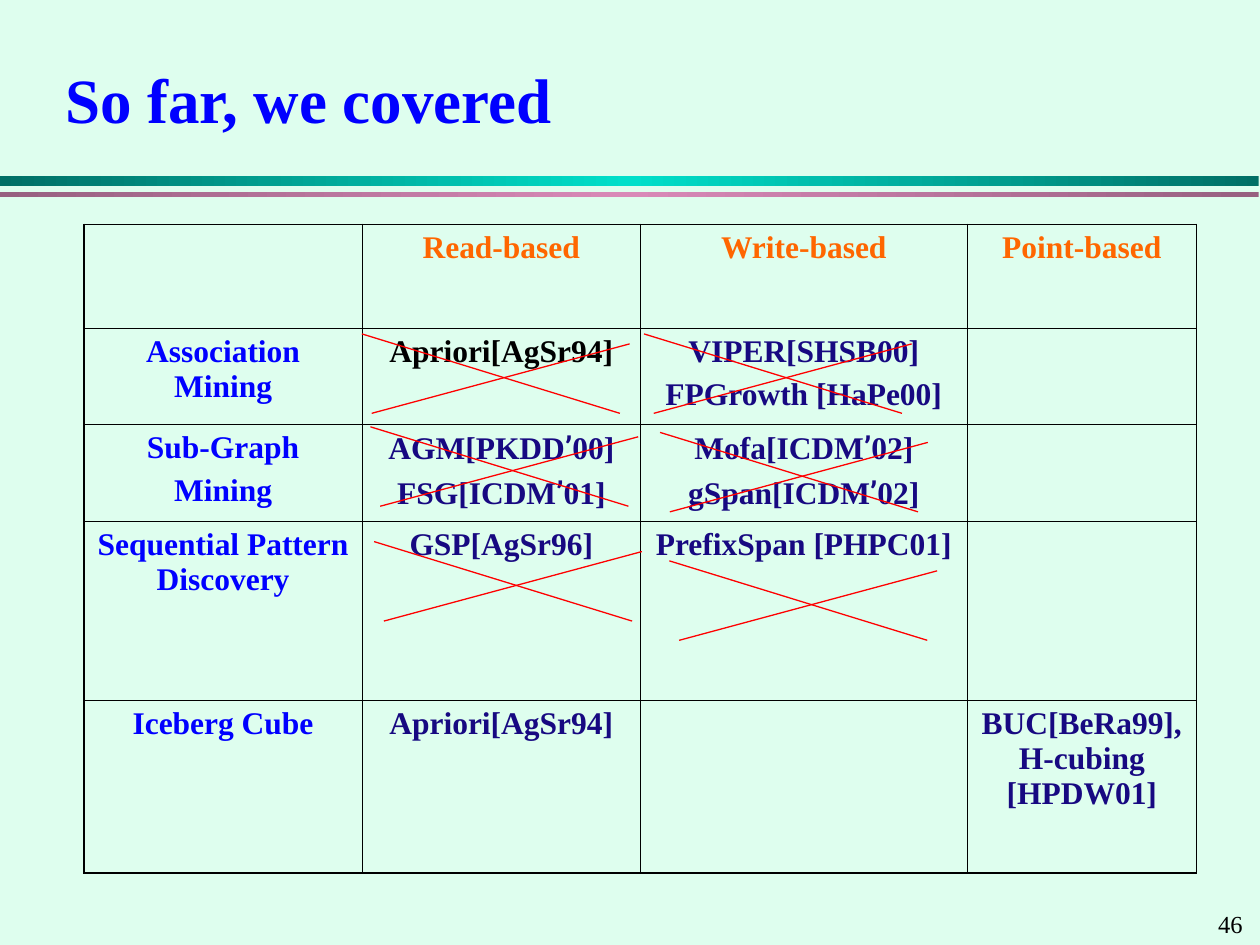
import copy
from dataclasses import dataclass

import lxml.etree
import pptx
import pptx.dml.color
import pptx.enum.shapes
import pptx.enum.text
import pptx.oxml.ns
import pptx.util

Pt = pptx.util.Pt
RGBColor = pptx.dml.color.RGBColor
Align = pptx.enum.text.PP_ALIGN
Anchor = pptx.enum.text.MSO_ANCHOR
qn = pptx.oxml.ns.qn

MINT = RGBColor(0xDE, 0xFE, 0xEE)
DARK_TEAL = RGBColor(0x00, 0x6F, 0x65)
TEAL = RGBColor(0x00, 0xDF, 0xCA)
DARK_PINK = RGBColor(0x97, 0x60, 0x80)
PINK = RGBColor(0xD9, 0x89, 0xB8)
BLACK = RGBColor(0, 0, 0)
BLUE = RGBColor(0, 0, 0xFF)
NAVY = RGBColor(0x17, 0x09, 0x81)
ORANGE = RGBColor(0xFF, 0x66, 0x00)
RED = RGBColor(0xFF, 0, 0)

FONT = "Times New Roman"
APOSTROPHE_FONT = "Roboto"
APOSTROPHE = "’"

COLUMN_WIDTHS = [159, 159, 186.7, 131.1]
ROW_HEIGHTS = [59.2, 55.2, 55.2, 102.5, 98.5]
CELL_TEXTS = [
    ["", "Read-based", "Write-based", "Point-based"],
    ["Association Mining", "Apriori[AgSr94]", "VIPER[SHSB00]\nFPGrowth [HaPe00]", ""],
    ["Sub-Graph\nMining", "AGM[PKDD’00]\nFSG[ICDM’01]", "Mofa[ICDM’02]\ngSpan[ICDM’02]", ""],
    ["Sequential Pattern Discovery", "GSP[AgSr96]", "PrefixSpan [PHPC01]", ""],
    ["Iceberg Cube", "Apriori[AgSr94]", "", "BUC[BeRa99], H-cubing [HPDW01]"],
]
THIN, THICK = 0.45, 1.08


@dataclass
class Band:
    top: float
    height: float
    edge: RGBColor
    middle: RGBColor


@dataclass
class Cross:
    left: float
    top: float


BANDS = [Band(100.8, 5.6, DARK_TEAL, TEAL), Band(109.6, 3, DARK_PINK, PINK)]
CROSSES = [
    Cross(206.8, 190.8), Cross(211.7, 243.9),
    Cross(368, 190.8), Cross(377.2, 247.1),
    Cross(213.8, 309.5), Cross(382.5, 320.5),
]


def write_text(frame, text: str, *, size: float, color: RGBColor, bold: bool = False,
               align=Align.LEFT, gap: float = 0) -> None:
    """Fill a text frame, one paragraph per line; apostrophes take their own font."""
    for index, line in enumerate(text.split("\n")):
        para = frame.add_paragraph() if index else frame.paragraphs[0]
        para.alignment = align
        para.space_before = Pt(gap if index else 0)
        for part in filter(None, line.partition(APOSTROPHE)):
            span = para.add_run()
            span.text = part
            span.font.name = APOSTROPHE_FONT if part == APOSTROPHE else FONT
            span.font.size = Pt(size)
            span.font.bold = bold
            span.font.color.rgb = color


def draw_band(page, band: Band) -> None:
    box = page.shapes.add_shape(pptx.enum.shapes.MSO_SHAPE.RECTANGLE,
                                Pt(0), Pt(band.top), Pt(719.3), Pt(band.height))
    box.shadow.inherit = False
    box.line.fill.background()
    box.fill.gradient()
    box.fill.gradient_angle = 0
    first_stop = box.fill._fill._gradFill.find(qn("a:gsLst"))[0]
    first_stop.addnext(copy.deepcopy(first_stop))
    colors = [band.edge, band.middle, band.edge]
    for stop, position, color in zip(box.fill.gradient_stops, [0, 0.5, 1], colors):
        stop.position = position
        stop.color.rgb = color


def set_borders(cell, widths: dict[str, float]) -> None:
    properties = cell._tc.get_or_add_tcPr()
    for side, width in widths.items():
        line = lxml.etree.SubElement(properties, qn(f"a:ln{side}"), w=str(int(Pt(width))))
        fill = lxml.etree.SubElement(line, qn("a:solidFill"))
        lxml.etree.SubElement(fill, qn("a:srgbClr"), val=str(BLACK))


def cell_color(row: int, column: int) -> RGBColor:
    if row == 0:
        return ORANGE
    if column == 0:
        return BLUE
    return BLACK if (row, column) == (1, 1) else NAVY


def draw_table(page) -> None:
    last_row, last_column = len(ROW_HEIGHTS) - 1, len(COLUMN_WIDTHS) - 1
    table = page.shapes.add_table(last_row + 1, last_column + 1, Pt(48), Pt(128.2),
                                  Pt(sum(COLUMN_WIDTHS)), Pt(sum(ROW_HEIGHTS))).table
    table.first_row = table.horz_banding = False
    for column, width in zip(table.columns, COLUMN_WIDTHS):
        column.width = Pt(width)
    for row, height in zip(table.rows, ROW_HEIGHTS):
        row.height = Pt(height)
    for row, texts in enumerate(CELL_TEXTS):
        for column, text in enumerate(texts):
            cell = table.cell(row, column)
            set_borders(cell, {
                "L": THICK if column == 0 else THIN,
                "R": THICK if column == last_column else THIN,
                "T": THICK if row == 0 else THIN,
                "B": THICK if row == last_row else THIN,
            })
            cell.fill.background()
            write_text(cell.text_frame, text, size=18, color=cell_color(row, column),
                       bold=True, align=Align.CENTER, gap=4.5)


def draw_line(page, x1: float, y1: float, x2: float, y2: float) -> None:
    line = page.shapes.add_connector(pptx.enum.shapes.MSO_CONNECTOR.STRAIGHT,
                                     Pt(x1), Pt(y1), Pt(x2), Pt(y2))
    line.line.color.rgb = RED
    line.line.width = Pt(0.75)
    lxml.etree.SubElement(line._element.spPr, qn("a:effectLst"))


def draw_cross(page, cross: Cross) -> None:
    x, y = cross.left, cross.top
    draw_line(page, x + 5.6, y + 45.4, x + 153, y + 5.7)
    draw_line(page, x + 147.4, y + 45.4, x, y)


def main() -> None:
    deck = pptx.Presentation()
    deck.slide_width, deck.slide_height = Pt(720), Pt(540)
    page = deck.slides.add_slide(deck.slide_layouts[5])
    page.background.fill.solid()
    page.background.fill.fore_color.rgb = MINT

    for band in BANDS:
        draw_band(page, band)

    number = page.shapes.add_textbox(Pt(689), Pt(516.2), Pt(31), Pt(24.2))
    number.text_frame.word_wrap = False
    write_text(number.text_frame, "46", size=14, color=BLACK)

    title = page.shapes.title
    title.left, title.top, title.width, title.height = Pt(30), Pt(30), Pt(660), Pt(52.5)
    title.text_frame.auto_size = pptx.enum.text.MSO_AUTO_SIZE.NONE
    title.text_frame.vertical_anchor = Anchor.MIDDLE
    write_text(title.text_frame, "So far, we covered", size=36, color=BLUE, bold=True)

    draw_table(page)
    for cross in CROSSES:
        draw_cross(page, cross)
    deck.save("out.pptx")


if __name__ == "__main__":
    main()
